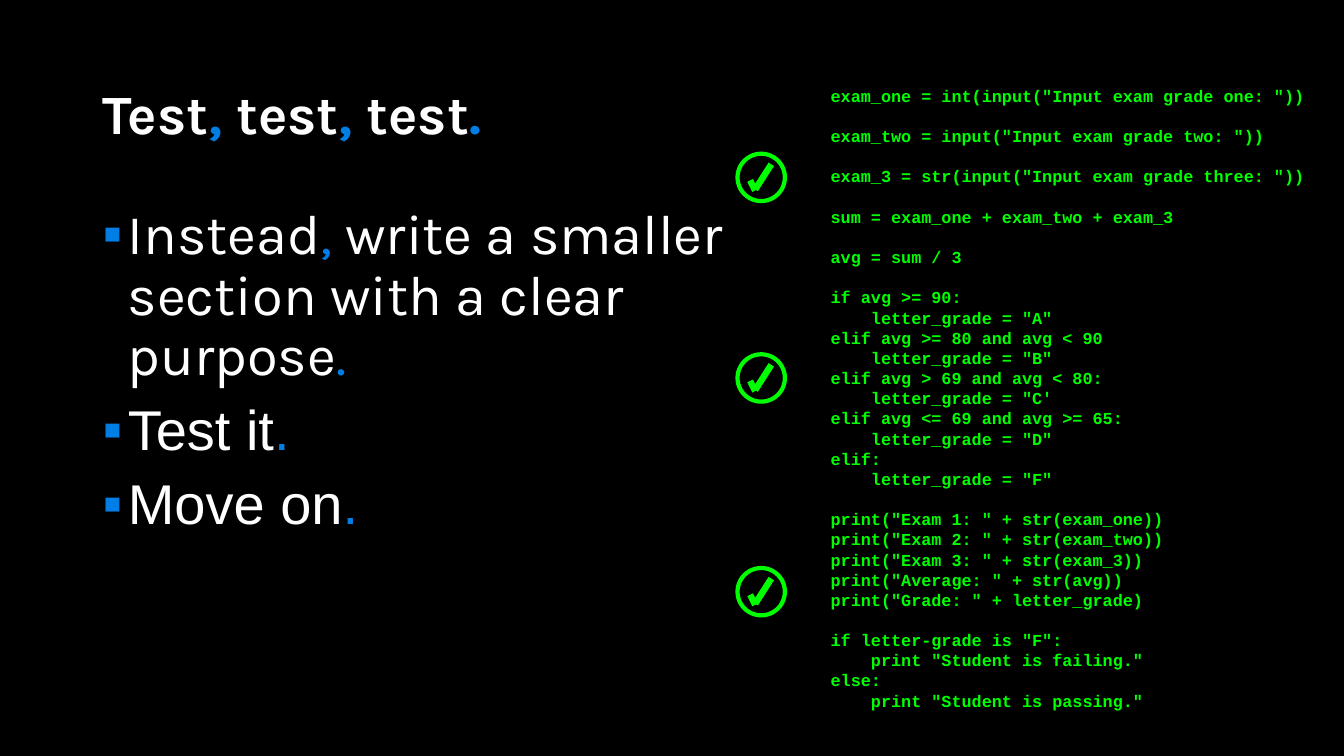
from pptx import Presentation
from pptx.dml.color import RGBColor
from pptx.enum.shapes import MSO_CONNECTOR, MSO_SHAPE
from pptx.enum.text import MSO_ANCHOR, MSO_AUTO_SIZE, PP_ALIGN
from pptx.util import Inches, Pt
from lxml.etree import SubElement
from pptx.oxml.ns import qn

BLACK = RGBColor(0x00, 0x00, 0x00)
WHITE = RGBColor(0xFF, 0xFF, 0xFF)
BLUE = RGBColor(0x01, 0x7E, 0xE5)
GREEN = RGBColor(0x00, 0xFF, 0x00)

TITLE = ["Test", ",", " test", ",", " test", "."]
POINTS = [
    ("Karla", ["Instead", ",", " write a smaller section with a clear purpose", "."]),
    ("Arial", ["Test it", "."]),
    ("Arial", ["Move on", "."]),
]
CODE = '''exam_one = int(input("Input exam grade one: "))

exam_two = input("Input exam grade two: "))

exam_3 = str(input("Input exam grade three: "))

sum = exam_one + exam_two + exam_3

avg = sum / 3

if avg >= 90:
    letter_grade = "A"
elif avg >= 80 and avg < 90
    letter_grade = "B"
elif avg > 69 and avg < 80:
    letter_grade = "C'
elif avg <= 69 and avg >= 65:
    letter_grade = "D"
elif:
    letter_grade = "F"

print("Exam 1: " + str(exam_one))
print("Exam 2: " + str(exam_two))
print("Exam 3: " + str(exam_3))
print("Average: " + str(avg))
print("Grade: " + letter_grade)

if letter-grade is "F":
    print "Student is failing."
else:
    print "Student is passing."'''


class Deck:
    """Holds the style and the current slide, and draws each kind of element."""

    def __init__(self):
        self.show = Presentation()
        self.show.slide_width = Inches(13.33)
        self.show.slide_height = Inches(7.5)
        self.slide = self.show.slides.add_slide(self.show.slide_layouts[5])
        fill = self.slide.background.fill
        fill.solid()
        fill.fore_color.rgb = BLACK

    def place(self, shape, x, y, w, h):
        shape.left, shape.top = Inches(x), Inches(y)
        shape.width, shape.height = Inches(w), Inches(h)

    def phrase(self, para, parts, font, size, bold=False):
        para.line_spacing = 0.9
        para.font.name, para.font.size, para.font.bold = font, Pt(size), bold
        for part in parts:
            run = para.add_run()
            run.text = part
            run.font.color.rgb = BLUE if part in (",", ".") else WHITE

    def title(self, parts, *area):
        shape = self.slide.shapes.title
        self.place(shape, *area)
        frame = shape.text_frame
        frame.auto_size = MSO_AUTO_SIZE.NONE
        frame.vertical_anchor = MSO_ANCHOR.MIDDLE
        para = frame.paragraphs[0]
        para.alignment = PP_ALIGN.LEFT
        self.phrase(para, parts, "Karla", 39.6, True)

    def box(self, x, y, w, h, wrap):
        area = [Inches(v) for v in (x, y, w, h)]
        frame = self.slide.shapes.add_textbox(*area).text_frame
        frame.word_wrap = wrap
        return frame

    def bullets(self, points, *area):
        frame = self.box(*area, True)
        for i, (font, parts) in enumerate(points):
            para = frame.add_paragraph() if i else frame.paragraphs[0]
            para.space_before = Pt(10)
            self.phrase(para, parts, font, 40)
            self.mark(para)

    def mark(self, para):
        props = para._p.get_or_add_pPr()
        props.set("marL", str(Inches(0.25)))
        props.set("indent", str(-Inches(0.25)))
        tint = SubElement(props, qn("a:buClr"))
        SubElement(tint, qn("a:srgbClr")).set("val", str(BLUE))
        SubElement(props, qn("a:buFont")).set("typeface", "Arial")
        SubElement(props, qn("a:buChar")).set("char", "▪")
        props.append(props.find(qn("a:defRPr")))

    def code(self, text, *area):
        frame = self.box(*area, False)
        pitch = Pt(14.4)
        for i, block in enumerate(text.split("\n\n")):
            for j, line in enumerate(block.split("\n")):
                para = frame.add_paragraph() if i or j else frame.paragraphs[0]
                para.text = line
                para.line_spacing = pitch
                para.space_before = pitch if i and not j else Pt(0)
                font = para.font
                font.name, font.size, font.bold = "Courier New", Pt(12), True
                font.color.rgb = GREEN

    def stroke(self, *ends):
        points = [Inches(v) for v in ends]
        line = self.slide.shapes.add_connector(MSO_CONNECTOR.STRAIGHT, *points)
        line.line.color.rgb = GREEN
        line.line.width = Pt(4.56)
        SubElement(line._element.spPr, qn("a:effectLst"))

    def check(self, x, y):
        self.stroke(x - 0.06, y + 0.12, x + 0.1, y - 0.13)
        self.stroke(x - 0.06, y + 0.13, x - 0.11, y + 0.03)
        size = 0.47
        area = [Inches(v) for v in (x - size / 2, y - size / 2, size, size)]
        ring = self.slide.shapes.add_shape(MSO_SHAPE.OVAL, *area)
        ring.shadow.inherit = False
        ring.fill.background()
        ring.line.color.rgb = GREEN
        ring.line.width = Pt(3)


def main():
    deck = Deck()
    deck.title(TITLE, 0.92, 0.8, 11.5, 0.72)
    deck.bullets(POINTS, 0.92, 2, 6.78, 5.29)
    deck.code(CODE, 8.14, 0.8, 4.98, 6.36)
    for y in (1.76, 3.75, 5.87):
        deck.check(7.55, y)
    deck.show.save("out.pptx")


if __name__ == "__main__":
    main()
